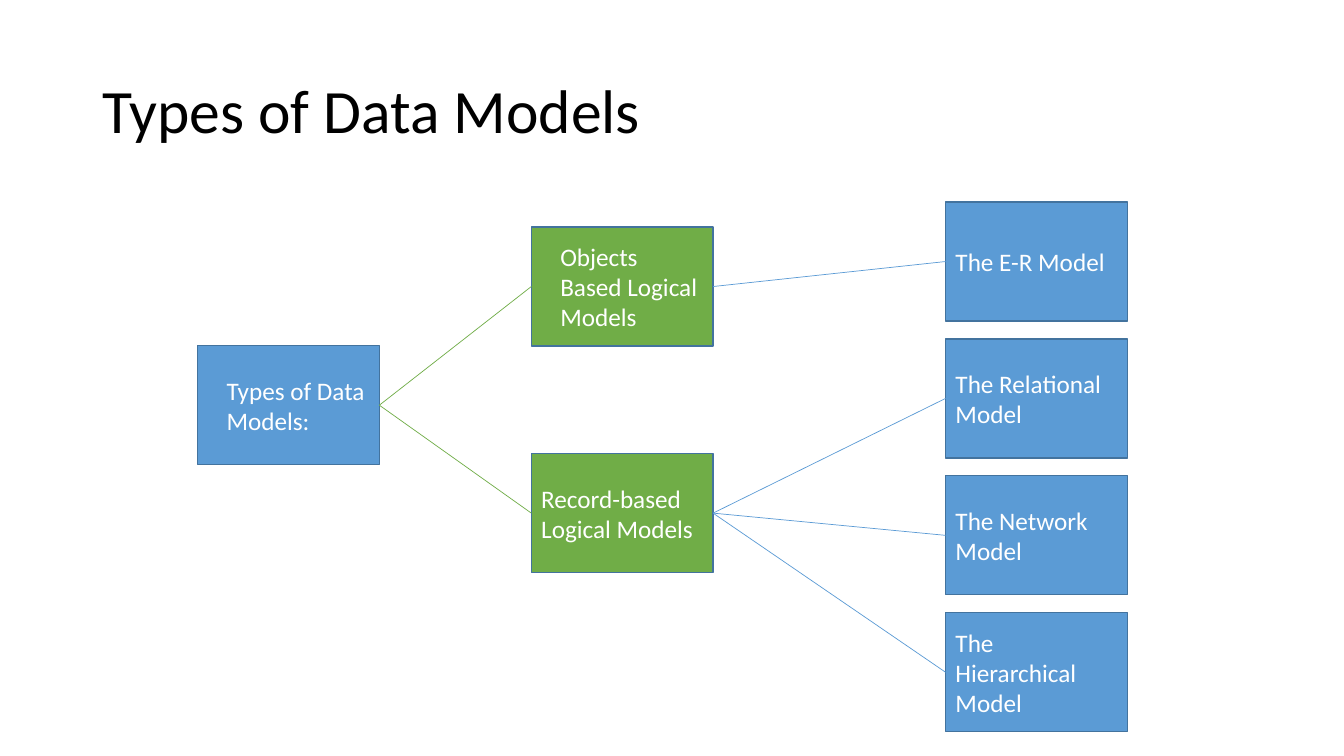
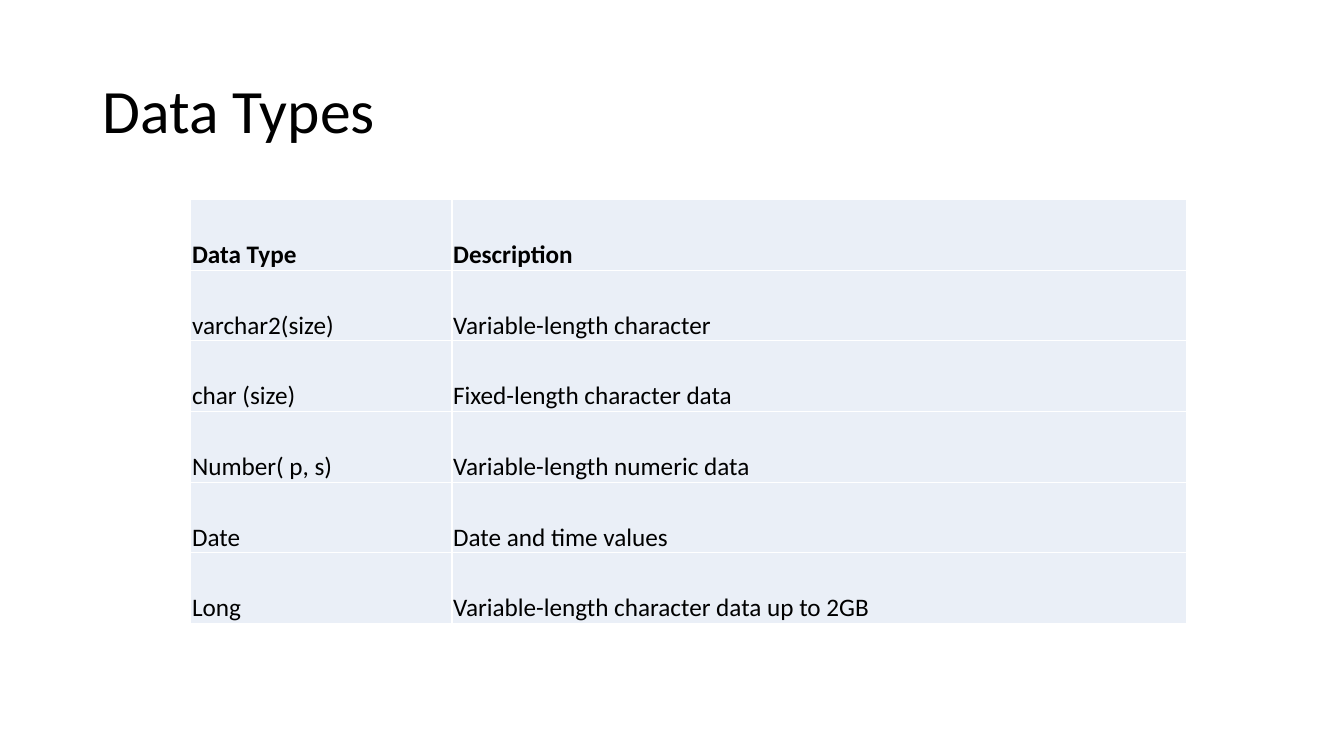
from dataclasses import dataclass

from lxml.etree import SubElement
from pptx import Presentation
from pptx.dml.color import RGBColor
from pptx.enum.shapes import MSO_CONNECTOR, MSO_SHAPE
from pptx.enum.text import MSO_ANCHOR, MSO_AUTO_SIZE, PP_ALIGN
from pptx.oxml.ns import qn
from pptx.util import Cm, Pt


@dataclass(frozen=True)
class Theme:
    font: str = "Calibri"
    title: int = 44
    body: int = 18
    black: str = "000000"
    white: str = "FFFFFF"
    blue: str = "5B9BD5"
    green: str = "70AD47"
    edge: str = "43739E"
    pale: str = "EAEFF7"


THEME = Theme()
RIGHT, LEFT = 3, 1
BOX_W, BOX_H = 4.58, 3


def color(code):
    return RGBColor.from_string(code)


def write(frame, text, size=THEME.body, ink=THEME.black, bold=False,
          anchor=MSO_ANCHOR.MIDDLE, indent=0, spacing=None):
    frame.word_wrap = True
    frame.vertical_anchor = anchor
    para = frame.paragraphs[0]
    para.alignment = PP_ALIGN.LEFT
    para.line_spacing = spacing
    if indent:
        props = para._p.get_or_add_pPr()
        props.set("marL", str(Cm(indent)))
        props.set("indent", "0")
    run = para.add_run()
    run.text = text
    run.font.name = THEME.font
    run.font.size = Pt(size)
    run.font.bold = bold
    run.font.color.rgb = color(ink)


def border(cell, ink, width):
    props = cell._tc.get_or_add_tcPr()
    for side in ("lnL", "lnR", "lnT", "lnB"):
        line = SubElement(props, qn(f"a:{side}"), w=str(Pt(width)))
        fill = SubElement(line, qn("a:solidFill"))
        SubElement(fill, qn("a:srgbClr"), val=ink)


class Deck:
    def __init__(self):
        self.show = Presentation()
        self.show.slide_width = Cm(33.87)
        self.show.slide_height = Cm(19.05)
        self.slide = None

    def page(self, title):
        self.slide = self.show.slides.add_slide(self.show.slide_layouts[5])
        head = self.slide.shapes.title
        head.left, head.top = Cm(2.33), Cm(1.01)
        head.width, head.height = Cm(29.21), Cm(3.68)
        head.text_frame.auto_size = MSO_AUTO_SIZE.NONE
        write(head.text_frame, title, size=THEME.title, spacing=0.9)

    def box(self, text, left, top, fill, indent=0):
        shape = self.slide.shapes.add_shape(
            MSO_SHAPE.RECTANGLE, Cm(left), Cm(top), Cm(BOX_W), Cm(BOX_H))
        shape.shadow.inherit = False
        shape.fill.solid()
        shape.fill.fore_color.rgb = color(fill)
        shape.line.color.rgb = color(THEME.edge)
        shape.line.width = Pt(1)
        write(shape.text_frame, text, ink=THEME.white, indent=indent)
        return shape

    def link(self, start, end, ink):
        line = self.slide.shapes.add_connector(MSO_CONNECTOR.STRAIGHT, 0, 0, 0, 0)
        line.begin_connect(start, RIGHT)
        line.end_connect(end, LEFT)
        line.line.color.rgb = color(ink)
        line.line.width = Pt(0.5)
        SubElement(line._element.spPr, qn("a:effectLst"))

    def table(self, rows, left, top, widths, height):
        table = self.slide.shapes.add_table(
            len(rows), len(widths), Cm(left), Cm(top),
            Cm(sum(widths)), Cm(height * len(rows))).table
        for col, width in zip(table.columns, widths):
            col.width = Cm(width)
        for r, row in enumerate(rows):
            table.rows[r].height = Cm(height)
            for c, text in enumerate(row):
                self.cell(table.cell(r, c), text, bold=r == 0)

    def cell(self, cell, text, bold):
        cell.margin_left = cell.margin_right = cell.margin_top = Cm(0.03)
        cell.margin_bottom = 0
        border(cell, THEME.white, 1)
        cell.fill.solid()
        cell.fill.fore_color.rgb = color(THEME.pale)
        write(cell.text_frame, text, bold=bold)
        cell.vertical_anchor = MSO_ANCHOR.BOTTOM


def models(deck):
    deck.page("Types of Data Models")
    root = deck.box("Types of Data Models:", 4.98, 8.71, THEME.blue, indent=0.48)
    object_box = deck.box("Objects Based Logical Models", 13.39, 5.72,
                          THEME.green, indent=0.48)
    record_box = deck.box("Record-based Logical Models", 13.39, 11.43, THEME.green)
    for group in (object_box, record_box):
        deck.link(root, group, THEME.green)
    leaves = [
        ("The E-R Model", object_box),
        ("The Relational Model", record_box),
        ("The Network Model", record_box),
        ("The Hierarchical Model", record_box),
    ]
    for i, (text, group) in enumerate(leaves):
        leaf = deck.box(text, 23.83, 5.09 + 3.45 * i, THEME.blue)
        deck.link(group, leaf, THEME.blue)


def types(deck):
    deck.page("Data Types")
    deck.table([
        ("Data Type", "Description"),
        ("varchar2(size)", "Variable-length character"),
        ("char (size)", "Fixed-length character data"),
        ("Number( p, s)", "Variable-length numeric data"),
        ("Date", "Date and time values"),
        ("Long", "Variable-length character data up to 2GB"),
    ], left=4.81, top=5.03, widths=(6.58, 18.52), height=1.78)


def main():
    deck = Deck()
    models(deck)
    types(deck)
    deck.show.save("out.pptx")


if __name__ == "__main__":
    main()
